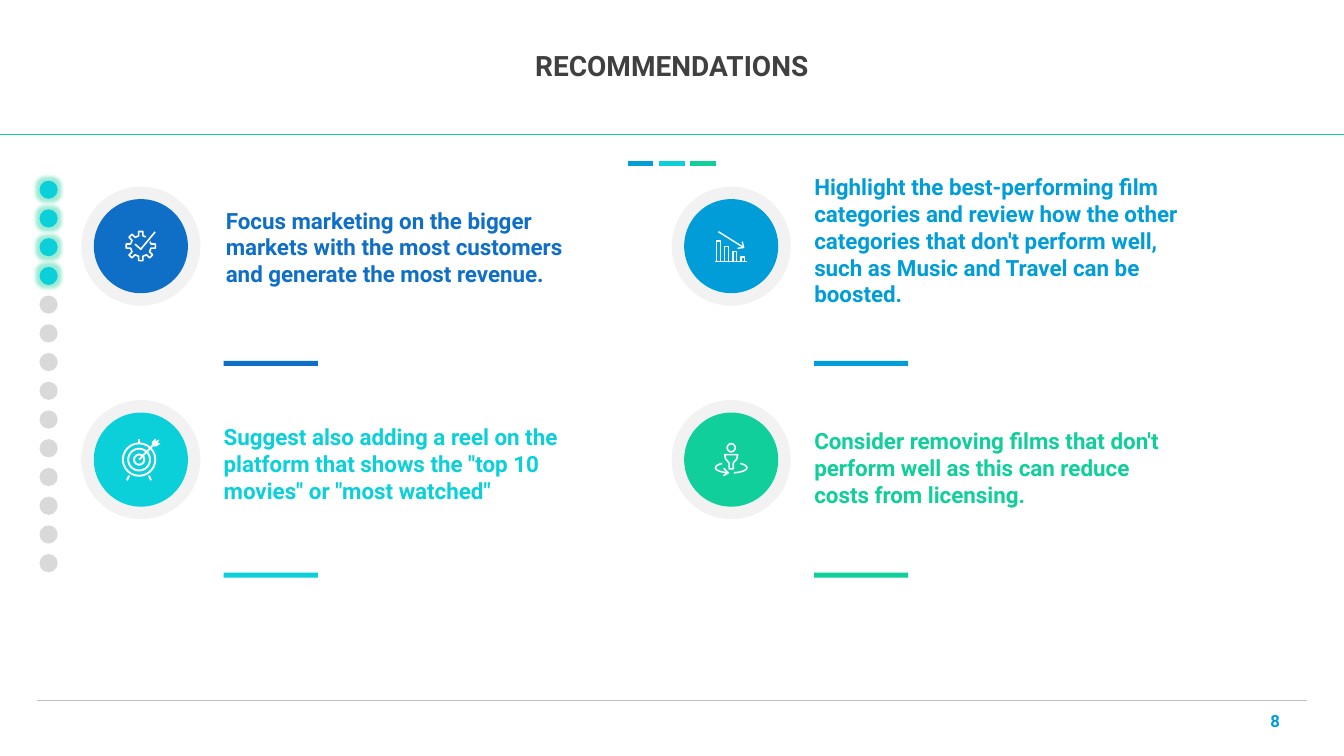
from math import cos, radians, sin

from lxml.etree import SubElement
from pptx import Presentation
from pptx.dml.color import RGBColor
from pptx.enum.shapes import MSO_CONNECTOR, MSO_SHAPE
from pptx.enum.text import MSO_ANCHOR, MSO_AUTO_SIZE, PP_ALIGN
from pptx.oxml.ns import qn
from pptx.util import Pt

BLUE = RGBColor(0x0F, 0x6F, 0xC6)
SKY = RGBColor(0x00, 0x9D, 0xD9)
CYAN = RGBColor(0x0B, 0xD0, 0xD9)
GREEN = RGBColor(0x10, 0xCF, 0x9B)
DARK = RGBColor(0x40, 0x40, 0x40)
RULE_GRAY = RGBColor(0xBF, 0xBF, 0xBF)
DOT_GRAY = RGBColor(0xD9, 0xD9, 0xD9)
HALO_GRAY = RGBColor(0xF2, 0xF2, 0xF2)
WHITE = RGBColor(0xFF, 0xFF, 0xFF)


def paint(shape, fill=None, stroke=None):
    """Give a shape a flat fill or a white outline of stroke points."""
    shape.shadow.inherit = False
    if fill is None:
        shape.fill.background()
    else:
        shape.fill.solid()
        shape.fill.fore_color.rgb = fill
    if stroke is None:
        shape.line.fill.background()
    else:
        shape.line.color.rgb = WHITE
        shape.line.width = Pt(stroke)
    return shape


def write(box, text, size, color, anchor, align):
    frame = box.text_frame
    frame.text = text
    frame.word_wrap = True
    frame.auto_size = MSO_AUTO_SIZE.NONE
    frame.vertical_anchor = anchor
    frame.margin_left = frame.margin_right = frame.margin_top = frame.margin_bottom = 0
    paragraph = frame.paragraphs[0]
    paragraph.alignment = align
    font = paragraph.runs[0].font
    font.name, font.size, font.bold = "Roboto", Pt(size), True
    font.color.rgb = color


deck = Presentation()
deck.slide_width, deck.slide_height = Pt(960), Pt(540)
page = deck.slides.add_slide(deck.slide_layouts[5])
shapes = page.shapes

# Title and page number
title = shapes.title
title.left, title.top, title.width, title.height = Pt(38.2), Pt(23.8), Pt(883.4), Pt(48.2)
write(title, "RECOMMENDATIONS", 20, DARK, MSO_ANCHOR.MIDDLE, PP_ALIGN.CENTER)
title.text_frame.paragraphs[0].line_spacing = 0.9
number = shapes.add_textbox(Pt(900.7), Pt(500.4), Pt(20.2), Pt(28.8))
write(number, "8", 12, SKY, MSO_ANCHOR.MIDDLE, PP_ALIGN.CENTER)

# Rules: left, right, height on the page, colour, weight
rules = [(0, 960, 96.2, GREEN, 1), (26.6, 933.8, 500.4, RULE_GRAY, 0.5)]
for index, color in enumerate((SKY, CYAN, GREEN)):
    left = 448.6 + 22.3 * index
    rules.append((left, left + 18.2, 116.8, color, 3))
for left, right, y, color, weight in rules:
    rule = shapes.add_connector(MSO_CONNECTOR.STRAIGHT, Pt(left), Pt(y), Pt(right), Pt(y))
    rule.line.color.rgb = color
    rule.line.width = Pt(weight)
    SubElement(rule._element.spPr, qn("a:effectLst"))

# Progress dots, the first four glowing
for index in range(14):
    active = index < 4
    dot = shapes.add_shape(MSO_SHAPE.OVAL, Pt(28.2), Pt(129 + 20.52 * index), Pt(13), Pt(13))
    paint(dot, CYAN if active else DOT_GRAY)
    if active:
        effects = dot._element.spPr.find(qn("a:effectLst"))
        glow = SubElement(effects, qn("a:glow"), rad=str(Pt(5)))
        tint = SubElement(glow, qn("a:srgbClr"), val=str(GREEN))
        SubElement(tint, qn("a:alpha"), val="40000")

# Icons, in points from the centre of their disc.
# Strokes: points, closed, fill, weight. Circles: x, y, radius, weight.
gear = [(3.6, -6.6)]
for tooth in range(7):
    angle = radians(-45 * tooth)
    for x, y in ((1.5, -7.3), (1.5, -10.4), (-1.5, -10.4), (-1.5, -7.3)):
        gear.append((x * cos(angle) - y * sin(angle), x * sin(angle) + y * cos(angle)))
gear.append((6.6, -3.2))
gear_strokes = [
    (gear, False, None, 1.13),
    ([(10.2, -10.1), (0, 2.2), (-4.2, -1.4)], False, None, 1.13),
]

chart_strokes = [
    ([(-11.8, 11.2), (11.4, 11.2)], False, None, 1),
    ([(-9.2, -10.3), (8.9, 1)], False, None, 1),
    ([(4.5, 1.6), (8.9, 1), (7.9, -3.2)], False, None, 1),
]
for index in range(4):
    left, top = -10.4 + 5.8 * index, -3.6 + 3.8 * index
    column = [(left, top), (left + 2.7, top), (left + 2.7, 11), (left, 11)]
    chart_strokes.append((column, True, None, 1))

fletching = [(8, -10), (8, -12.6), (10.4, -15), (11, -13), (12.4, -14.4),
             (13.2, -13.6), (11.8, -12.2), (14, -11.5), (11.4, -9.4), (9, -9.4)]
target_strokes = [
    ([(-1.2, 0), (8.5, -10)], False, None, 1.4),
    (fletching, True, WHITE, None),
    ([(-8.4, 11.5), (-9.9, 14.8)], False, None, 1.4),
    ([(5.8, 11.5), (7.2, 14.8)], False, None, 1.4),
    ([(-1.2, -14.4), (-1.2, -12)], False, None, 1.4),
]
target_circles = [(-1.2, 0, radius, 1.4) for radius in (11.6, 7.8, 3.7)]

body = [(-4.6, -3.5), (4.6, -3.5), (4, -0.4), (1.5, 2.4),
        (1.5, 6.6), (-1.5, 6.6), (-1.5, 2.4), (-4, -0.4)]
person_strokes = [
    (body, True, None, 1.13),
    ([(-5.3, 6.2), (-2.2, 9.5), (-5.6, 11.5)], False, None, 1.13),
]
for start, end in ((100, 235), (80, -55)):
    step = 5 if end > start else -5
    orbit = [(11.2 * cos(radians(a)), 5.8 + 3.7 * sin(radians(a)))
             for a in range(start, end + step, step)]
    person_strokes.append((orbit, False, None, 1.13))
person_circles = [(0, -8.5, 2.9, 1.13)]

# Cards: disc centre, text left, text top, text height, bar top, colour, icon, text
cards = [
    (100.6, 175.8, 161.3, 146.9, 58.3, 257.8, BLUE, gear_strokes, [],
     "Focus marketing on the bigger markets with the most customers and generate "
     "the most revenue."),
    (100.6, 328.3, 159.8, 301.7, 58.3, 409, CYAN, target_strokes, target_circles,
     'Suggest also adding a reel on the platform that shows the "top 10 movies" '
     'or "most watched"'),
    (522.3, 175.8, 581.6, 122.4, 97.2, 257.8, SKY, chart_strokes, [],
     "Highlight the best-performing film categories and review how the other "
     "categories that don't perform well, such as Music and Travel can be boosted."),
    (522.3, 328.3, 581.6, 304.6, 58.3, 409, GREEN, person_strokes, person_circles,
     "Consider removing films that don't perform well as this can reduce costs "
     "from licensing."),
]
for x, y, text_left, text_top, text_height, bar_top, color, strokes, circles, text in cards:
    box = shapes.add_textbox(Pt(text_left), Pt(text_top), Pt(260.6), Pt(text_height))
    write(box, text, 16, color, MSO_ANCHOR.BOTTOM, PP_ALIGN.LEFT)
    bar = shapes.add_shape(MSO_SHAPE.RECTANGLE, Pt(x + 59.2), Pt(bar_top), Pt(67.2), Pt(3.6))
    paint(bar, color)

    rounds = [(0, 0, 42.5, None, HALO_GRAY), (0, 0, 33.6, None, color)]
    rounds += [(*circle, None) for circle in circles]
    for dx, dy, radius, weight, fill in rounds:
        disc = shapes.add_shape(MSO_SHAPE.OVAL, Pt(x + dx - radius), Pt(y + dy - radius),
                                Pt(2 * radius), Pt(2 * radius))
        paint(disc, fill, weight)

    for points, closed, fill, weight in strokes:
        corners = [(Pt(x + dx), Pt(y + dy)) for dx, dy in points]
        builder = shapes.build_freeform(*corners[0])
        builder.add_line_segments(corners[1:], close=closed)
        paint(builder.convert_to_shape(), fill, weight)

deck.save("out.pptx")
